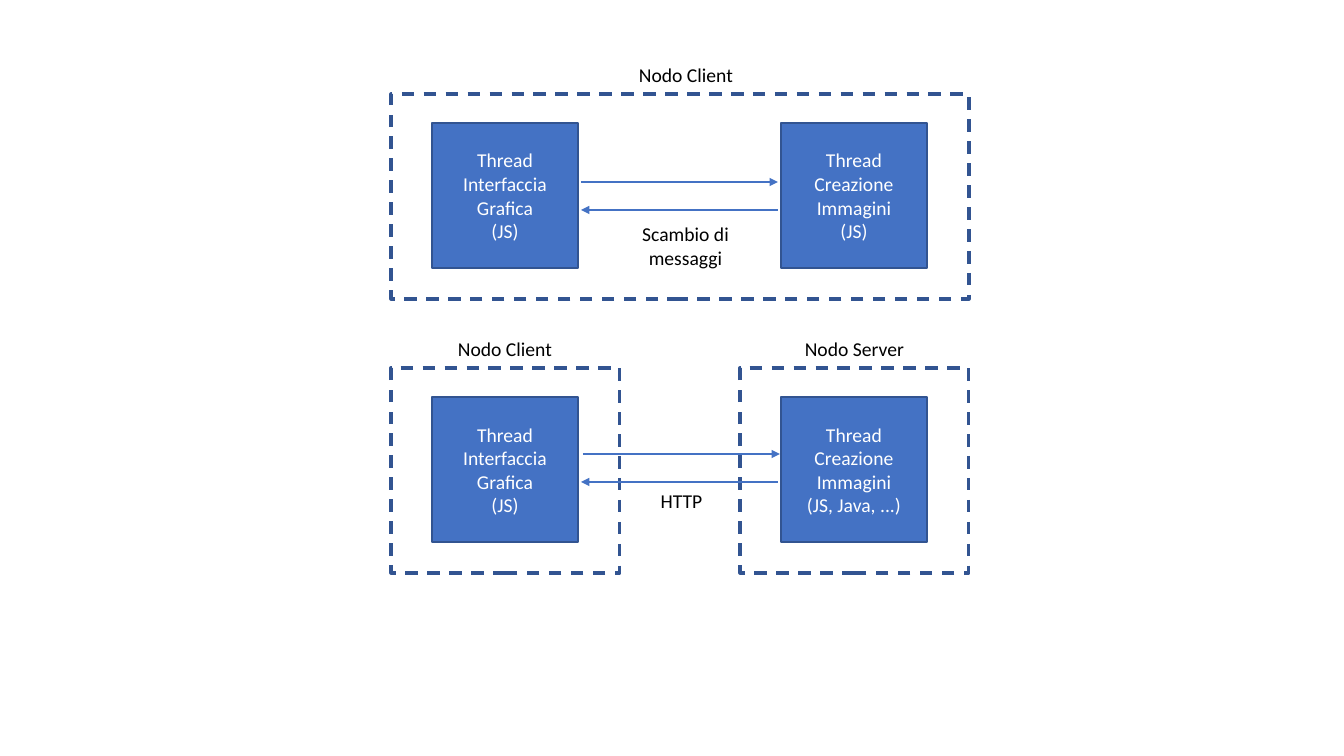
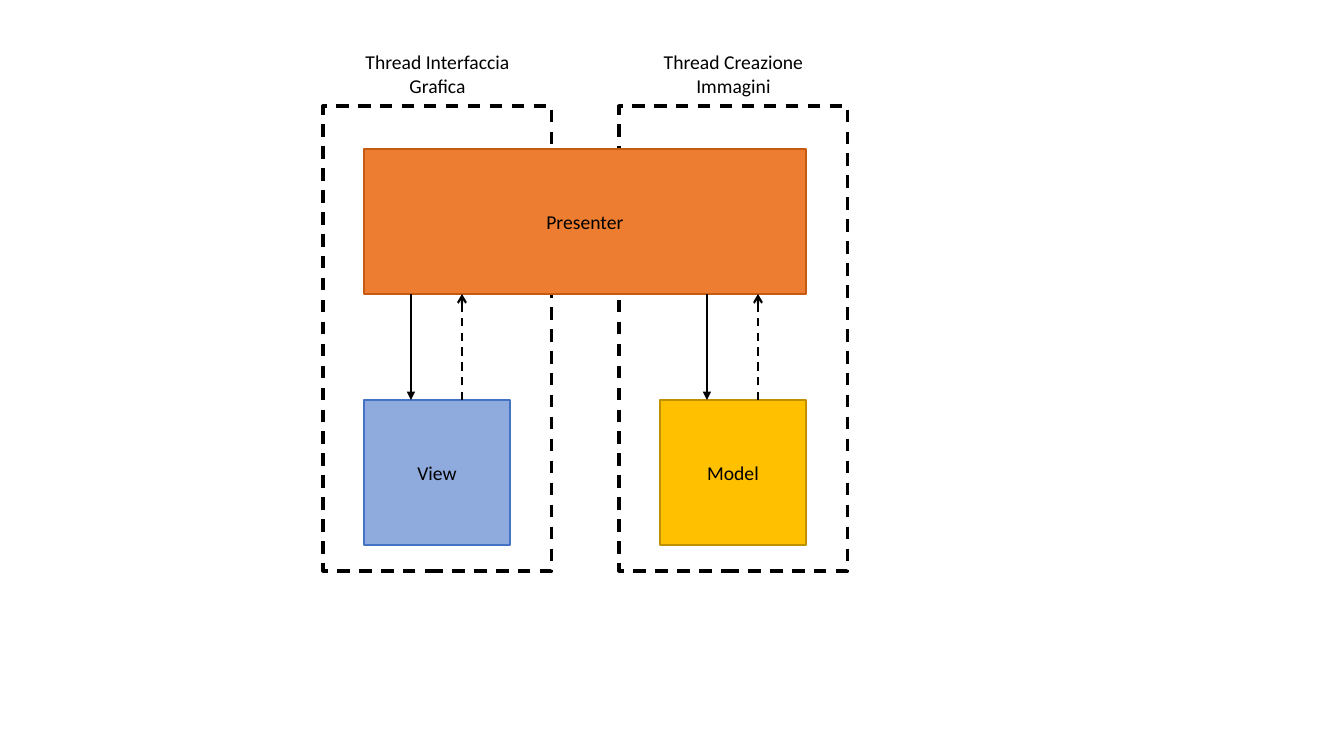
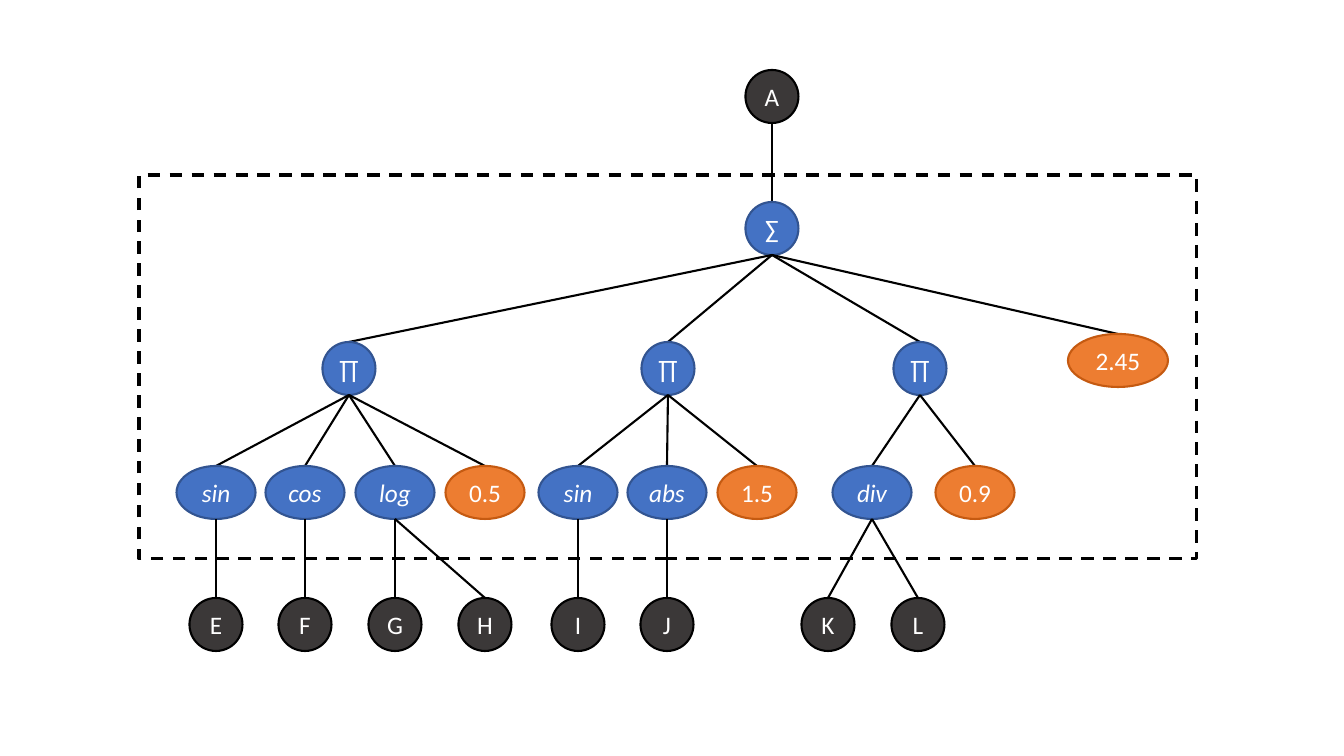
import copy
from pptx import Presentation, util as u
from pptx.dml.color import RGBColor
from pptx.enum import dml, shapes, text
from pptx.oxml.ns import qn
from pptx.oxml import parse_xml

EMU_PER_PIXEL = 914400 / 100.8
FONT = "Calibri"
COLORS = {
    "white": "FFFFFF", "black": "000000", "charcoal": "3B3838",
    "blue": "4472C4", "navy": "325491", "sky": "8FAADC",
    "orange": "ED7D31", "rust": "C55A11",
    "gold": "FFC000", "bronze": "BF9000",
}
DRAWING_NS = "http://schemas.openxmlformats.org/drawingml/2006/main"
RECT = shapes.MSO_SHAPE.RECTANGLE
OVAL = shapes.MSO_SHAPE.OVAL
BOX_W, BOX_H = 146, 145
BOX_INDENT = 41
FRAME_W = 229


def px(*lengths):
    return [u.Emu(round(length * EMU_PER_PIXEL)) for length in lengths]


def rgb(color):
    return RGBColor.from_string(COLORS[color])


def write(shape, words, size=14, color="white", italic=False, wrap=True,
          anchor=text.MSO_ANCHOR.MIDDLE, margin=None):
    frame = shape.text_frame
    frame.text = words
    frame.word_wrap = wrap
    frame.vertical_anchor = anchor
    if margin is not None:
        frame.margin_left = frame.margin_right = px(margin)[0]
        frame.margin_top = frame.margin_bottom = px(margin)[0]
    for paragraph in frame.paragraphs:
        paragraph.alignment = text.PP_ALIGN.CENTER
        for run in paragraph.runs:
            run.font.name = FONT
            run.font.size = u.Pt(size)
            run.font.italic = italic
            run.font.color.rgb = rgb(color)
        for line_break in paragraph._p.findall(qn("a:br")):
            line_break.insert(0, copy.deepcopy(paragraph.runs[0]._r.rPr))


def style_line(line, color, width, dashed=False):
    line.color.rgb = rgb(color)
    line.width = u.Pt(width)
    if dashed:
        line.dash_style = dml.MSO_LINE.DASH


def draw(slide, kind, box, fill, outline, width=1, dashed=False):
    shape = slide.shapes.add_shape(kind, *px(*box))
    shape.shadow.inherit = False
    if fill:
        shape.fill.solid()
        shape.fill.fore_color.rgb = rgb(fill)
    else:
        shape.fill.background()
    style_line(shape.line, outline, width, dashed)
    return shape


def dashed_frame(slide, box, color):
    draw(slide, RECT, box, None, color, width=2.25, dashed=True)


def labelled_box(slide, box, words, fill, outline, color="white"):
    write(draw(slide, RECT, box, fill, outline), words, color=color)


def label(slide, box, words):
    write(slide.shapes.add_textbox(*px(*box)), words, color="black",
          anchor=text.MSO_ANCHOR.TOP)


def link(slide, start, end, color="black", head=None, dashed=False):
    connector = slide.shapes.add_connector(
        shapes.MSO_CONNECTOR.STRAIGHT, *px(*start, *end))
    style_line(connector.line, color, 1.5, dashed)
    if head:
        connector.line._get_or_add_ln().append(
            parse_xml(f'<a:tailEnd xmlns:a="{DRAWING_NS}" type="{head}"/>'))
    connector._element.spPr.append(
        parse_xml(f'<a:effectLst xmlns:a="{DRAWING_NS}"/>'))


def node(slide, box, name, name_left, name_width, threads):
    left, top, width, height = box
    for thread_left, words in threads:
        labelled_box(slide, (left + thread_left, top + 29, BOX_W, BOX_H),
                     words, "blue", "navy")
    dashed_frame(slide, box, "navy")
    label(slide, (left + name_left, top - 36, name_width, 34), name)


def exchange(slide, left, top, caption, caption_box, shift=0):
    right = left + 197
    link(slide, (left + shift, top), (right + shift, top), "blue", "triangle")
    link(slide, (right, top + 28), (left, top + 28), "blue", "triangle")
    label(slide, caption_box, caption)


def deployment_slide(slide):
    interface = "Thread\nInterfaccia\vGrafica\v(JS)"
    creation = "Thread\nCreazione\vImmagini\v"
    node(slide, (391, 94, 578, 205), "Nodo Client", 207, 176,
         [(BOX_INDENT, interface), (390, creation + "(JS)")])
    node(slide, (391, 368, FRAME_W, 205), "Nodo Client", 41, 146,
         [(BOX_INDENT, interface)])
    node(slide, (740, 368, FRAME_W, 205), "Nodo Server", 34, 161,
         [(BOX_INDENT, creation + "(JS, Java, ...)")])
    exchange(slide, 581, 182, "Scambio di messaggi", (596, 217, 179, 57))
    exchange(slide, 581, 454, "HTTP", (592, 484, 179, 34), shift=2)


def thread_column(slide, box, name, name_width, role, fill, outline):
    left, top, width, height = box
    labelled_box(slide, (left + BOX_INDENT, top + 294, BOX_W, BOX_H),
                 role, fill, outline, color="black")
    dashed_frame(slide, box, "black")
    label(slide, (left + (width - name_width) / 2, top - 61, name_width, 57),
          name)


def presenter_links(slide, left, top, bottom):
    link(slide, (left + 88, top), (left + 88, bottom), head="triangle")
    link(slide, (left + 139, bottom), (left + 139, top), head="arrow",
         dashed=True)


def presenter_slide(slide):
    top = 106
    columns = [
        (323, "Thread Interfaccia Grafica", 203, "View", "sky", "blue"),
        (619, "Thread Creazione Immagini", 214, "Model", "gold", "bronze"),
    ]
    for left, *content in columns:
        thread_column(slide, (left, top, FRAME_W, 465), *content)
    labelled_box(slide, (364, 149, 442, BOX_H), "Presenter", "orange", "rust",
                 color="black")
    for left, *content in columns:
        presenter_links(slide, left, 149 + BOX_H, top + 294)


NODE_H = 53
NODE_STYLES = {
    "variable": ("charcoal", "black", NODE_H),
    "operator": ("blue", "navy", NODE_H),
    "function": ("blue", "navy", 79),
    "constant": ("orange", "rust", 79),
    "offset": ("orange", "rust", 100),
}
ROW_TOPS = [-105, 27, 167, 291, 423]
EXPRESSION = ("A", "variable", 633, [
    ("∑", "operator", 633, [
        ("∏", "operator", 210, [
            ("sin", "function", 77, [("E", "variable", 77, [])]),
            ("cos", "function", 166, [("F", "variable", 166, [])]),
            ("log", "function", 256, [("G", "variable", 256, []),
                                      ("H", "variable", 346, [])]),
            ("0.5", "constant", 346, []),
        ]),
        ("∏", "operator", 529, [
            ("sin", "function", 439, [("I", "variable", 439, [])]),
            ("abs", "function", 528, [("J", "variable", 528, [])]),
            ("1.5", "constant", 618, []),
        ]),
        ("∏", "operator", 781, [
            ("div", "function", 733, [("K", "variable", 689, []),
                                      ("L", "variable", 779, [])]),
            ("0.9", "constant", 836, []),
        ]),
        ("2.45", "offset", 979, []),
    ]),
])


def expression_tree(slide, box, term, depth=0, parent=None):
    symbol, role, center, operands = term
    fill, outline, width = NODE_STYLES[role]
    x = box[0] + center
    y = box[1] + ROW_TOPS[depth] - (8 if role == "offset" else 0)
    if parent:
        link(slide, parent, (x, y))
    oval = draw(slide, OVAL, (x - width / 2, y, width, NODE_H), fill, outline,
                width=1.5)
    write(oval, symbol, size=18, italic=role == "function", wrap=False,
          margin=0)
    for operand in operands:
        expression_tree(slide, box, operand, depth + 1, (x, y + NODE_H))


def expression_slide(slide):
    box = (139, 175, 1058, 384)
    expression_tree(slide, box, EXPRESSION)
    dashed_frame(slide, box, "black")


deck = Presentation()
deck.slide_width, deck.slide_height = px(1344, 756)
for build in (deployment_slide, presenter_slide, expression_slide):
    build(deck.slides.add_slide(deck.slide_layouts[6]))
deck.save("out.pptx")
